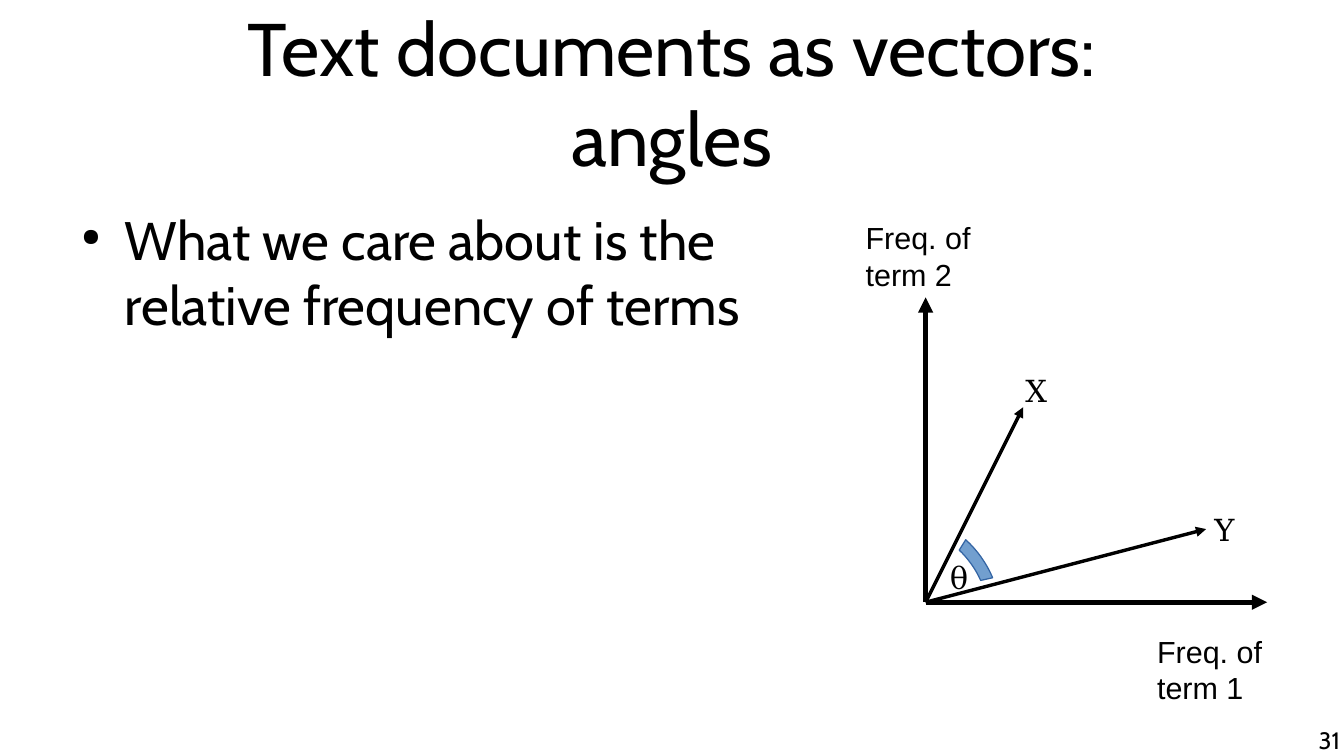
import dataclasses

import lxml.etree
import pptx
import pptx.dml.color
import pptx.enum.shapes
import pptx.enum.text
import pptx.oxml.ns
import pptx.util

Pt = pptx.util.Pt
Align = pptx.enum.text.PP_ALIGN
Anchor = pptx.enum.text.MSO_ANCHOR


@dataclasses.dataclass(frozen=True)
class Theme:
    black: str = "000000"
    fill: str = "729FCF"
    edge: str = "3465A4"
    main: str = "Cabin"
    sans: str = "Arial"
    serif: str = "DejaVu Serif"
    title: int = 44
    body: int = 32
    label: int = 18
    page: int = 14


THEME = Theme()


def color(code):
    return pptx.dml.color.RGBColor.from_string(code)


def add_xml(parent, tag, **attrs):
    return lxml.etree.SubElement(parent, pptx.oxml.ns.qn(tag), attrs)


def add_text(slide, box, lines, face, size, align=Align.LEFT,
             anchor=Anchor.TOP, inset=(0, 0)):
    frame = slide.shapes.add_textbox(*map(Pt, box)).text_frame
    frame.word_wrap = True
    frame.vertical_anchor = anchor
    frame.margin_left = frame.margin_right = Pt(inset[0])
    frame.margin_top = frame.margin_bottom = Pt(inset[1])
    para = frame.paragraphs[0]
    para.alignment = align
    for index, line in enumerate(lines):
        if index:
            para.add_line_break()
        run = para.add_run()
        run.text = line
        run.font.name = face
        run.font.size = Pt(size)
        run.font.color.rgb = color(THEME.black)
    return para


def add_bullet(para, left, hang):
    props = para._p.get_or_add_pPr()
    props.set("marL", str(Pt(left)))
    props.set("indent", str(Pt(-hang)))
    add_xml(add_xml(props, "a:buClr"), "a:srgbClr", val=THEME.black)
    add_xml(props, "a:buSzPct", val="45000")
    add_xml(props, "a:buChar", char="●")


def add_label(slide, box, text, face):
    add_text(slide, box, [text], face, THEME.label, inset=(7.2, 3.6))


def add_arrow(slide, start, end, width):
    line = slide.shapes.add_connector(
        pptx.enum.shapes.MSO_CONNECTOR.STRAIGHT, *map(Pt, start + end))
    line.line.color.rgb = color(THEME.black)
    line.line.width = Pt(width)
    add_xml(line.line._get_or_add_ln(), "a:tailEnd", type="triangle")
    add_xml(line._element.spPr, "a:effectLst")


def add_arc(slide, box, turn, shape):
    arc = slide.shapes.add_shape(
        pptx.enum.shapes.MSO_SHAPE.BLOCK_ARC, *map(Pt, box))
    arc.shadow.inherit = False
    arc.rotation = turn
    for index, value in enumerate(shape):
        arc.adjustments[index] = value
    arc.fill.solid()
    arc.fill.fore_color.rgb = color(THEME.fill)
    arc.line.color.rgb = color(THEME.edge)
    arc.line.width = Pt(0)


def main():
    deck = pptx.Presentation()
    deck.slide_width, deck.slide_height = Pt(793.5), Pt(446.5)
    slide = deck.slides.add_slide(deck.slide_layouts[6])

    add_text(slide, (39.6, -5.8, 714.3, 120.2),
             ["Text documents as vectors:", "angles"],
             THEME.main, THEME.title, Align.CENTER, Anchor.MIDDLE)
    point = add_text(slide, (39.6, 121.7, 457.2, 303),
                     ["What we care about is the relative frequency of terms"],
                     THEME.main, THEME.body)
    add_bullet(point, 34, 25.5)

    origin = (546.5, 355.7)
    for end, width in (((546.5, 175.7), 3), ((748.1, 355.7), 3),
                       ((604.1, 240.5), 0), ((712.1, 312.5), 0)):
        add_arrow(slide, origin, end, width)
    add_arc(slide, (504, 314.6, 94.3, 69.1), 54.7, (148.443, 175.557, 0.103))

    for left, top, text in ((504, 126, "Freq. of term 2"),
                            (676.1, 370.1, "Freq. of term 1")):
        add_label(slide, (left, top, 79.2, 47.5), text, THEME.sans)
    for left, top, text in ((553.7, 326.9, "θ"), (598.3, 216, "X"),
                            (709.9, 298.1, "Y")):
        add_label(slide, (left, top, 28.8, 28.1), text, THEME.serif)

    add_text(slide, (606.2, 428.4, 185, 18), ["31"],
             THEME.main, THEME.page, Align.RIGHT)
    deck.save("out.pptx")


if __name__ == "__main__":
    main()
